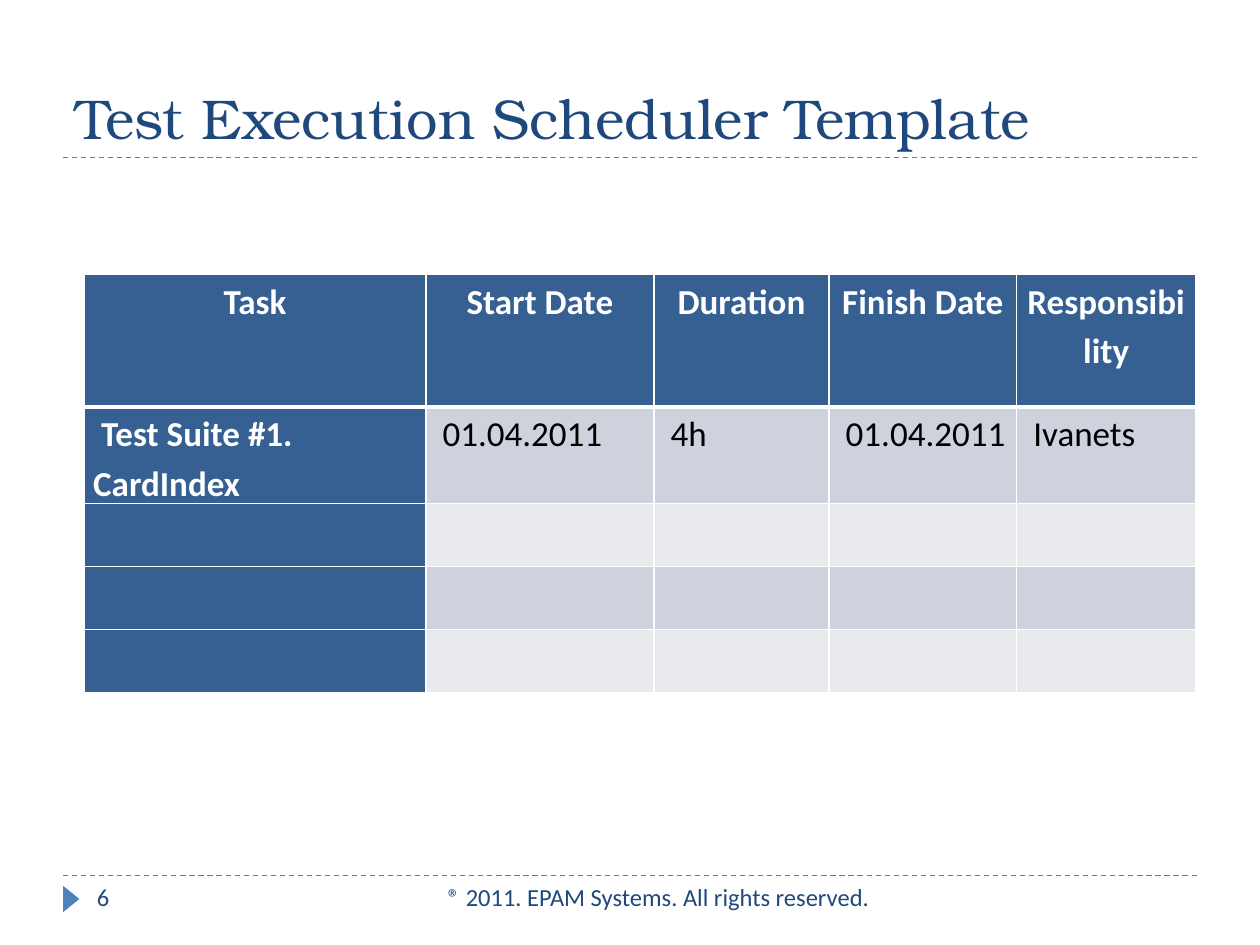
import pptx
import pptx.util
import pptx.dml.color
import pptx.enum.dml
import pptx.enum.shapes
import pptx.enum.text
import pptx.oxml.ns
import lxml.etree

Inches = pptx.util.Inches
Pt = pptx.util.Pt
Align = pptx.enum.text.PP_ALIGN
Anchor = pptx.enum.text.MSO_ANCHOR
qn = pptx.oxml.ns.qn

WIDTH, HEIGHT = 10, 7.5
MARGIN = 0.5
NAVY, BLUE, HEADER, WHITE, BLACK = "1F497D", "4F81BD", "366092", "FFFFFF", "000000"
BANDS = ["CED2DC", "E8EAEE"]
COLUMNS = [2.71, 1.81, 1.39, 1.49, 1.42]
ROWS = [1.05, 0.5, 0.5, 0.5, 0.5]
SCHEDULE = [
    ["Task", "Start Date", "Duration", "Finish Date", "Responsibility"],
    [" Test Suite #1. CardIndex", " 01.04.2011", " 4h", " 01.04.2011", " Ivanets"],
]


def color(value):
    return pptx.dml.color.RGBColor.from_string(value)


def style(para, size, value, font="Calibri", bold=False, align=Align.LEFT):
    para.alignment = align
    for span in para.runs:
        span.font.name = font
        span.font.size = Pt(size)
        span.font.bold = bold
        span.font.color.rgb = color(value)


def add_rule(page, top):
    rule = page.shapes.add_connector(
        pptx.enum.shapes.MSO_CONNECTOR.STRAIGHT,
        Inches(MARGIN), Inches(top), Inches(WIDTH - MARGIN), Inches(top))
    rule.line.color.rgb = color(BLUE)
    rule.line.width = Pt(0.75)
    rule.line.dash_style = pptx.enum.dml.MSO_LINE.DASH
    lxml.etree.SubElement(rule._element.spPr, qn("a:effectLst"))


def add_title(page, left, top, width, height):
    title = page.shapes.title
    title.left, title.top = Inches(left), Inches(top)
    title.width, title.height = Inches(width), Inches(height)
    frame = title.text_frame
    frame.text = "Test Execution Scheduler Template"
    frame.auto_size = pptx.enum.text.MSO_AUTO_SIZE.NONE
    frame.vertical_anchor = Anchor.BOTTOM
    style(frame.paragraphs[0], 32, NAVY, "TeX Gyre Bonum")
    add_rule(page, top + height)


def add_footer_text(page, text, left, top, width, height, align):
    box = page.shapes.add_textbox(Inches(left), Inches(top), Inches(width), Inches(height))
    box.text_frame.word_wrap = True
    box.text_frame.text = text
    style(box.text_frame.paragraphs[0], 14, NAVY, align=align)


def add_footer(page, top, height):
    add_rule(page, top)
    marker = page.shapes.add_shape(
        pptx.enum.shapes.MSO_SHAPE.ISOSCELES_TRIANGLE,
        Inches(0.46), Inches(top + 0.12), Inches(0.21), Inches(0.13))
    marker.rotation = 90
    marker.shadow.inherit = False
    marker.fill.solid()
    marker.fill.fore_color.rgb = color(BLUE)
    marker.line.fill.background()
    add_footer_text(page, "® 2011. EPAM Systems. All rights reserved.",
                    3.17, top, 3.83, height, Align.RIGHT)
    add_footer_text(page, "6", 0.67, top, 2.17, height, Align.LEFT)


def set_borders(cell, widths):
    properties = cell._tc.get_or_add_tcPr()
    for side, width in widths.items():
        border = lxml.etree.SubElement(properties, qn("a:ln" + side), w=str(Pt(width)))
        fill = lxml.etree.SubElement(border, qn("a:solidFill"))
        lxml.etree.SubElement(fill, qn("a:srgbClr"), val=WHITE)


def fill_cell(cell, row, column):
    is_header = row == 0
    is_label = is_header or column == 0
    set_borders(cell, {"L": 1, "R": 1, "T": 3 if row == 1 else 1, "B": 3 if is_header else 1})
    cell.fill.solid()
    cell.fill.fore_color.rgb = color(HEADER if is_label else BANDS[(row - 1) % 2])
    if row < len(SCHEDULE):
        cell.margin_left = cell.margin_right = Inches(0.07)
        cell.margin_top = cell.margin_bottom = 0
        cell.text_frame.text = SCHEDULE[row][column]
        para = cell.text_frame.paragraphs[0]
        para.line_spacing = 1.15
        para.space_after = Pt(3)
        style(para, 20, WHITE if is_label else BLACK, bold=is_label,
              align=Align.CENTER if is_header else Align.LEFT)


def add_schedule(page, left, top):
    table = page.shapes.add_table(
        len(ROWS), len(COLUMNS), Inches(left), Inches(top),
        Inches(sum(COLUMNS)), Inches(sum(ROWS))).table
    for column, width in enumerate(COLUMNS):
        table.columns[column].width = Inches(width)
    for row, height in enumerate(ROWS):
        table.rows[row].height = Inches(height)
        for column in range(len(COLUMNS)):
            fill_cell(table.cell(row, column), row, column)


def main():
    deck = pptx.Presentation()
    deck.slide_width, deck.slide_height = Inches(WIDTH), Inches(HEIGHT)
    page = deck.slides.add_slide(deck.slide_layouts.get_by_name("Title Only"))
    add_title(page, MARGIN, 0.17, WIDTH - 2 * MARGIN, 1.08)
    add_footer(page, 6.95, 0.4)
    add_schedule(page, 0.67, 2.18)
    deck.save("out.pptx")


if __name__ == "__main__":
    main()
